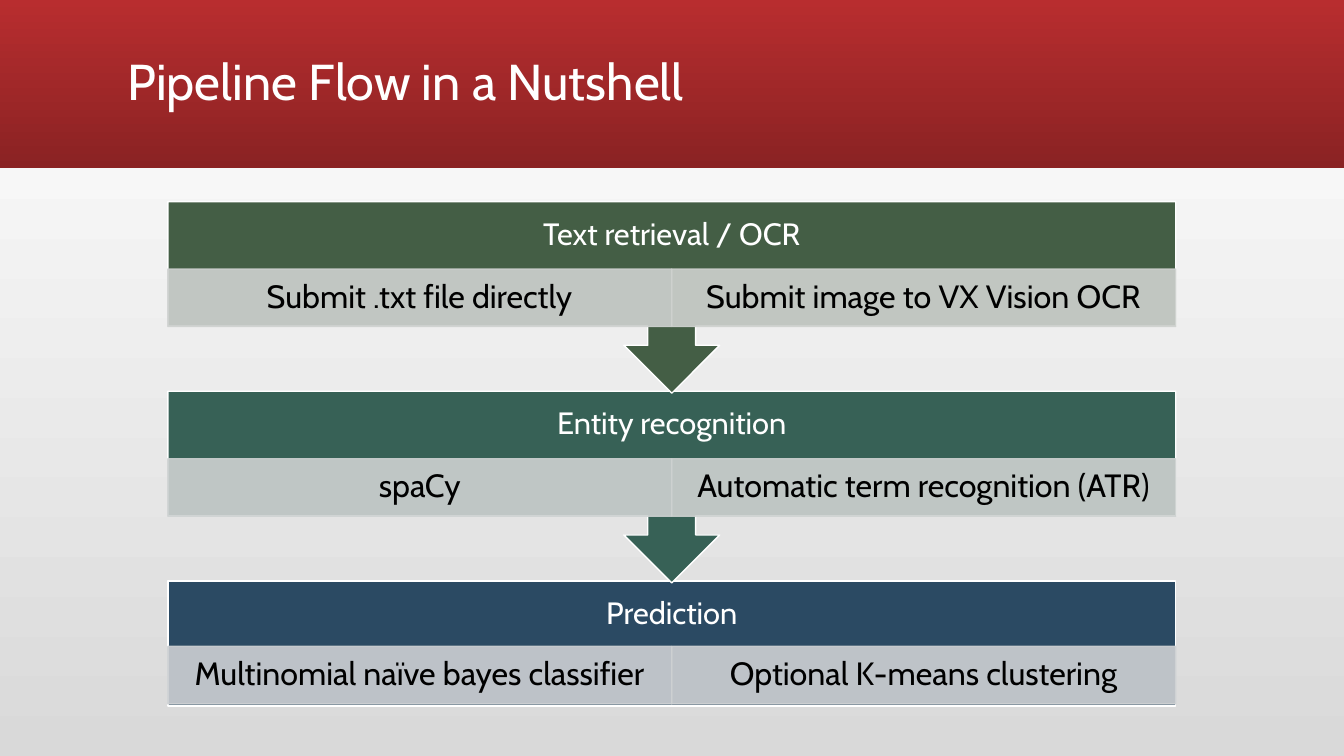
"""Build the pipeline flow slide."""
import dataclasses
import typing

import lxml.etree
import pptx
import pptx.dml.color
import pptx.enum.shapes
import pptx.enum.text
import pptx.oxml.ns
import pptx.util

Cm = pptx.util.Cm
Pt = pptx.util.Pt
Kind = pptx.enum.shapes.MSO_SHAPE
Align = pptx.enum.text.PP_ALIGN
Anchor = pptx.enum.text.MSO_ANCHOR


@dataclasses.dataclass(frozen=True)
class Box:
    """Place of a shape in centimetres."""
    left: float
    top: float
    width: float
    height: float


@dataclasses.dataclass(frozen=True)
class Cell:
    """One option within a stage."""
    text: str
    fill: str


@dataclasses.dataclass(frozen=True)
class Stage:
    """One step of the pipeline."""
    name: str
    fill: str
    cells: tuple[Cell, ...]
    kind: typing.Any = Kind.DOWN_ARROW_CALLOUT
    height: float = 4.83
    head: float = 1.7


WIDE, HIGH = 33.87, 19.05
LEFT, TOP, SPAN, PITCH = 4.23, 5.08, 25.4, 4.78
ROW = 1.45
FRAME = {"word_wrap": True, "vertical_anchor": Anchor.MIDDLE}
HEAD = {"margin_top": Cm(0.13), "margin_bottom": Cm(ROW + 0.13)}
ENTRY = {"margin_left": Cm(0.46), "margin_right": Cm(0.46),
         "margin_top": Cm(0.08), "margin_bottom": Cm(0.08)}
STAGES = (
    Stage("Text retrieval / OCR", "445E45",
          (Cell("Submit .txt file directly", "CFD2D0"),
           Cell("Submit image to VX Vision OCR", "CFD2CF"))),
    Stage("Entity recognition", "376156",
          (Cell("spaCy", "CED2D2"),
           Cell("Automatic term recognition (ATR)", "CED2D1"))),
    Stage("Prediction", "2B4A63",
          (Cell("Multinomial naïve bayes classifier", "CDD0D3"),
           Cell("Optional K-means clustering", "CED1D3")),
          Kind.RECTANGLE, 3.15, 1.65),
)


def tint(code: str) -> pptx.dml.color.RGBColor:
    """Turn a hex string into a colour."""
    return pptx.dml.color.RGBColor.from_string(code)


def apply(item: typing.Any, style: dict[str, typing.Any]) -> None:
    """Set each attribute named in a style."""
    for name, value in style.items():
        setattr(item, name, value)


def blend(fill: typing.Any, codes: tuple[str, str], angle: int) -> None:
    """Give a fill a two-stop gradient."""
    fill.gradient()
    fill.gradient_angle = angle
    for stop, code, place in zip(fill.gradient_stops, codes, (0, 1)):
        apply(stop, {"position": place})
        stop.color.rgb = tint(code)


def span(box: Box) -> tuple[int, ...]:
    """Convert a box to lengths."""
    return tuple(Cm(side) for side in dataclasses.astuple(box))


def block(slide: typing.Any, kind: typing.Any, box: Box) -> typing.Any:
    """Add a shape without a shadow."""
    shape = slide.shapes.add_shape(kind, *span(box))
    shape.shadow.inherit = False
    return shape


def paint(shape: typing.Any, fill: str, line: str) -> None:
    """Give a shape a plain fill and a thin line."""
    shape.fill.solid()
    shape.fill.fore_color.rgb = tint(fill)
    shape.line.color.rgb = tint(line)
    shape.line.width = Pt(1)


def fade(shape: typing.Any, share: int) -> None:
    """Set the opacity of fill and line in percent."""
    name = pptx.oxml.ns.qn
    for node in shape._element.spPr.iter(name("a:srgbClr")):
        lxml.etree.SubElement(node, name("a:alpha"), val=str(share * 1000))


def write(shape: typing.Any, text: str, size: int, code: str,
          align: typing.Any, style: dict[str, typing.Any]) -> None:
    """Put one styled paragraph into a shape."""
    frame = shape.text_frame
    apply(frame, FRAME | style)
    para = frame.paragraphs[0]
    apply(para, {"alignment": align, "line_spacing": 0.9})
    run = para.add_run()
    run.text = text
    apply(run.font, {"name": "Cabin", "size": Pt(size)})
    run.font.color.rgb = tint(code)


def banner(slide: typing.Any, text: str) -> None:
    """Draw the red band and the title."""
    band = block(slide, Kind.RECTANGLE, Box(0, 0, WIDE, 4.24))
    blend(band.fill, ("B82D2F", "8A2223"), 270)
    band.line.fill.background()
    title = slide.shapes.add_textbox(*span(Box(2.97, 0.28, 27.94, 3.68)))
    write(title, text, 36, "FFFFFF", Align.LEFT, {})


def draw(slide: typing.Any, stage: Stage, top: float) -> None:
    """Draw a stage with its row of cells."""
    body = block(slide, stage.kind, Box(LEFT, top, SPAN, stage.height))
    paint(body, stage.fill, "FFFFFF")
    write(body, stage.name, 22, "FFFFFF", Align.CENTER, HEAD)
    width = SPAN / len(stage.cells)
    for col, cell in enumerate(stage.cells):
        box = Box(LEFT + col * width, top + stage.head, width, ROW)
        shape = block(slide, Kind.RECTANGLE, box)
        paint(shape, cell.fill, cell.fill)
        fade(shape, 90)
        write(shape, cell.text, 23, "000000", Align.CENTER, ENTRY)


def main() -> None:
    """Build and save the deck."""
    deck = pptx.Presentation()
    apply(deck, {"slide_width": Cm(WIDE), "slide_height": Cm(HIGH)})
    slide = deck.slides.add_slide(deck.slide_layouts[6])
    blend(slide.background.fill, ("D9D9D9", "FFFFFF"), 90)
    banner(slide, "Pipeline Flow in a Nutshell")
    for row, stage in reversed(tuple(enumerate(STAGES))):
        draw(slide, stage, TOP + row * PITCH)
    deck.save("out.pptx")


main()
